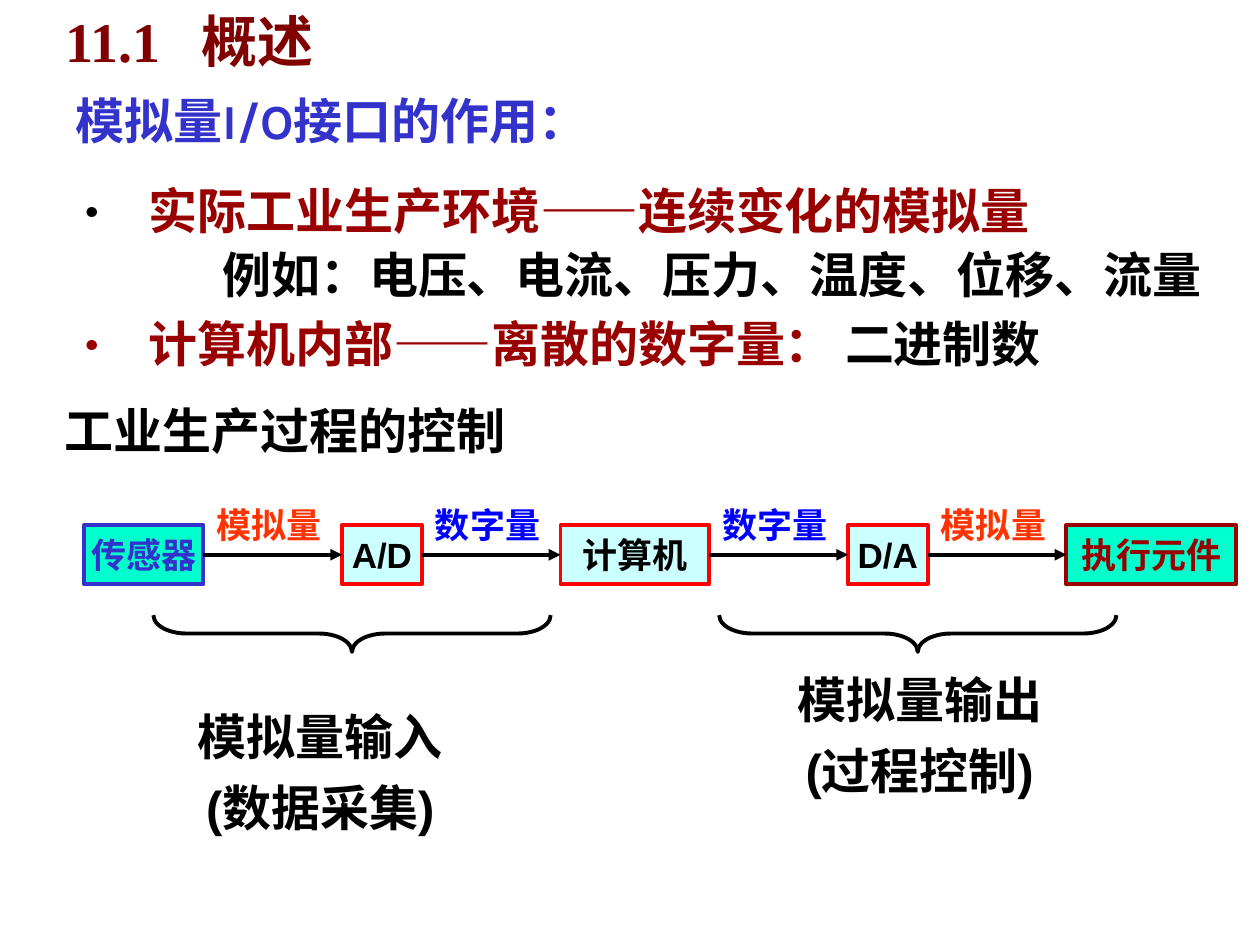
from lxml import etree
from pptx import Presentation
from pptx.dml.color import RGBColor
from pptx.enum import shapes, text
from pptx.oxml import ns
from pptx.util import Pt

BLACK = RGBColor(0x00, 0x00, 0x00)
MAROON = RGBColor(0x80, 0x00, 0x00)
DARK_RED = RGBColor(0x99, 0x00, 0x00)
INDIGO = RGBColor(0x33, 0x33, 0xCC)
BLUE = RGBColor(0x00, 0x00, 0xFF)
ORANGE = RGBColor(0xFF, 0x33, 0x00)
RED = RGBColor(0xFF, 0x00, 0x00)
PALE_CYAN = RGBColor(0xCC, 0xFF, 0xFF)
TEAL = RGBColor(0x00, 0xFF, 0xCC)


def add_spans(para, spans, size, font):
    for words, color in spans:
        span = para.add_run()
        span.text = words
        span.font.size = Pt(size)
        span.font.name = font
        span.font.bold = True
        span.font.color.rgb = color


def center_lines(frame, lines, size, color, space):
    """Fill a frame without insets with centred lines."""
    frame.margin_left = frame.margin_right = 0
    frame.margin_top = frame.margin_bottom = 0
    frame.word_wrap = False
    frame.vertical_anchor = text.MSO_ANCHOR.MIDDLE
    for index, line in enumerate(lines):
        para = frame.add_paragraph() if index else frame.paragraphs[0]
        para.alignment = text.PP_ALIGN.CENTER
        if index:
            para.space_before = Pt(space)
        add_spans(para, [(line, color)], size, "Arial")


deck = Presentation()
deck.slide_width, deck.slide_height = Pt(720), Pt(540)
page = deck.slides.add_slide(deck.slide_layouts[5])

# Title, with a tab between number and name
title = page.shapes.title
title.left, title.top, title.width, title.height = Pt(30), Pt(0), Pt(300), Pt(42)
frame = title.text_frame
frame.auto_size = text.MSO_AUTO_SIZE.NONE
frame.vertical_anchor = text.MSO_ANCHOR.TOP
para = frame.paragraphs[0]
para.alignment = text.PP_ALIGN.LEFT
tabs = etree.SubElement(para._p.get_or_add_pPr(), ns.qn("a:tabLst"))
etree.SubElement(tabs, ns.qn("a:tab"), pos=str(Pt(78)), algn="l")
add_spans(para, [("11.1\t概述", MAROON)], 32, "Times New Roman")

# Body: left, top, width, height, line spacing,
# then paragraphs of (bullet colour, left margin, spans)
body = [
    (36, 48, 336, 41, 1.0, [(None, 0, [("模拟量I/O接口的作用：", INDIGO)])]),
    (42, 96, 678, 81, 1.1, [
        ("000000", 36, [("实际工业生产环境——连续变化的模拟量", DARK_RED)]),
        (None, 78, [("例如：电压、电流、压力、温度、位移、流量", BLACK)])]),
    (42, 172, 624, 45, 1.1, [
        ("990000", 36, [("计算机内部——离散的数字量： ", DARK_RED), ("二进制数", BLACK)])]),
    (30, 222, 360, 45, 1.1, [(None, 0, [("工业生产过程的控制", BLACK)])]),
]
for left, top, width, height, spacing, paragraphs in body:
    box = page.shapes.add_textbox(Pt(left), Pt(top), Pt(width), Pt(height))
    frame = box.text_frame
    frame.word_wrap = True
    for index, (bullet, margin, spans) in enumerate(paragraphs):
        para = frame.add_paragraph() if index else frame.paragraphs[0]
        para.line_spacing = spacing
        props = para._p.get_or_add_pPr()
        props.set("marL", str(Pt(margin)))
        if bullet:
            props.set("indent", str(-Pt(margin)))
            color = etree.SubElement(props, ns.qn("a:buClr"))
            etree.SubElement(color, ns.qn("a:srgbClr"), val=bullet)
            etree.SubElement(props, ns.qn("a:buFont"), typeface="Karla")
            etree.SubElement(props, ns.qn("a:buChar"), char="•")
        add_spans(para, spans, 28, "Karla")

# Signal chain: boxes at equal gaps, each gap with an arrow and a label
GAP = 79.3
CHAIN_TOP, CHAIN_HEIGHT = 300, 34
stages = [
    ("传感器", 68, TEAL, INDIGO, INDIGO),
    ("A/D", 45.5, PALE_CYAN, RED, BLACK),
    ("计算机", 85, PALE_CYAN, RED, BLACK),
    ("D/A", 45.5, PALE_CYAN, RED, BLACK),
    ("执行元件", 97, TEAL, DARK_RED, DARK_RED),
]
signals = [("模拟量", ORANGE), ("数字量", BLUE), ("数字量", BLUE), ("模拟量", ORANGE)]
left = 48.2
boxes = []
for name, width, fill, outline, color in stages:
    box = page.shapes.add_shape(shapes.MSO_SHAPE.RECTANGLE, Pt(left), Pt(CHAIN_TOP),
                                Pt(width), Pt(CHAIN_HEIGHT))
    box.shadow.inherit = False
    box.fill.solid()
    box.fill.fore_color.rgb = fill
    box.line.color.rgb = outline
    box.line.width = Pt(2.25)
    center_lines(box.text_frame, [name], 20, color, 0)
    boxes.append(box)
    left += width + GAP

for source, target, (signal, color) in zip(boxes, boxes[1:], signals):
    arrow = page.shapes.add_connector(shapes.MSO_CONNECTOR.STRAIGHT, 0, 0, 0, 0)
    arrow.begin_connect(source, 3)
    arrow.end_connect(target, 1)
    arrow.line.color.rgb = BLACK
    arrow.line.width = Pt(2.25)
    etree.SubElement(arrow.line._get_or_add_ln(), ns.qn("a:tailEnd"), type="triangle")
    etree.SubElement(arrow._element.spPr, ns.qn("a:effectLst"))
    label = page.shapes.add_textbox(source.left + source.width, Pt(288), Pt(GAP - 4), Pt(23))
    center_lines(label.text_frame, [signal], 20, color, 0)

# Braces below the chain, each with its caption
BRACE_DEPTH, BRACE_SPAN = 21, 227
halves = [
    (201.2, ["模拟量输入", "(数据采集)"], (94.5, 408, 177, 66)),
    (524.5, ["模拟量输出", "(过程控制)"], (448.5, 384.5, 154, 70)),
]
for center, lines, place in halves:
    brace = page.shapes.add_shape(
        shapes.MSO_SHAPE.LEFT_BRACE, Pt(center - BRACE_DEPTH / 2),
        Pt(362 - BRACE_SPAN / 2), Pt(BRACE_DEPTH), Pt(BRACE_SPAN))
    brace.rotation = 270
    brace.adjustments[0] = 0.9
    brace.shadow.inherit = False
    brace.fill.background()
    brace.line.color.rgb = BLACK
    brace.line.width = Pt(2.25)
    caption = page.shapes.add_textbox(*[Pt(length) for length in place])
    center_lines(caption.text_frame, lines, 28, BLACK, 7)

deck.save("out.pptx")
